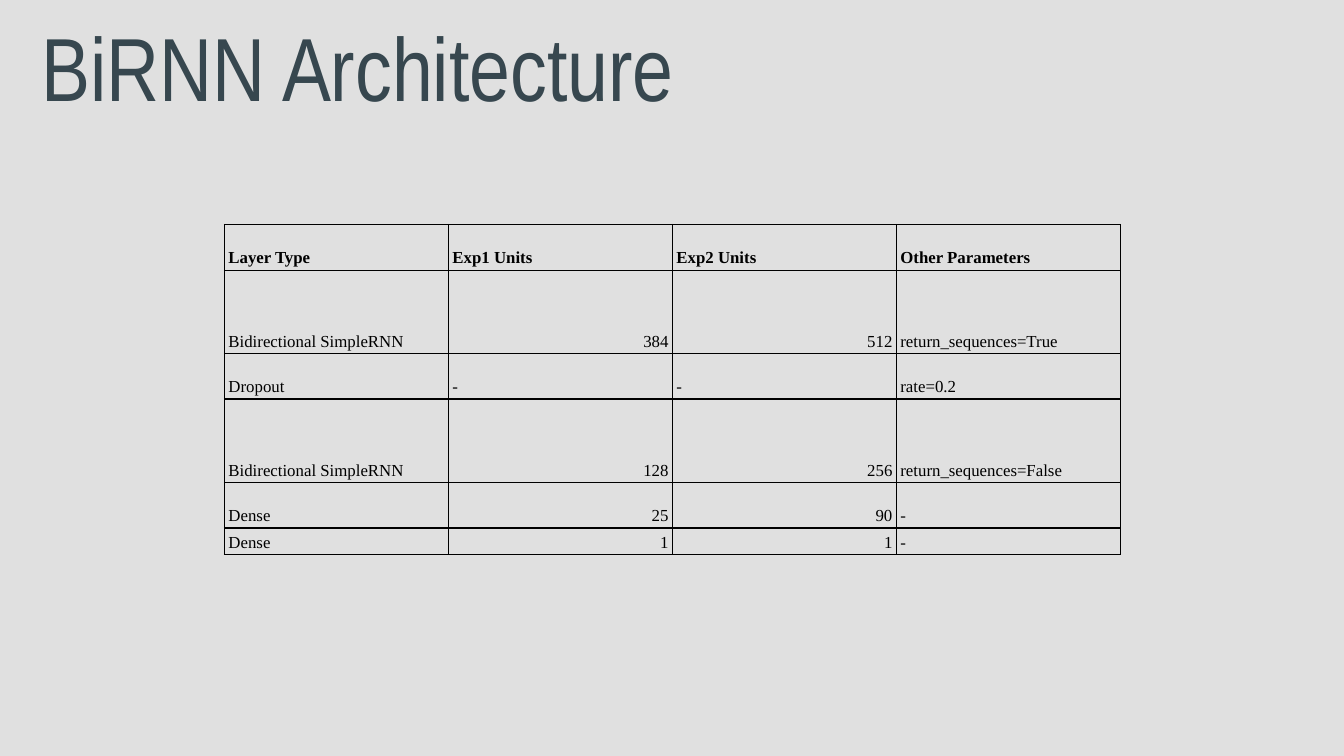
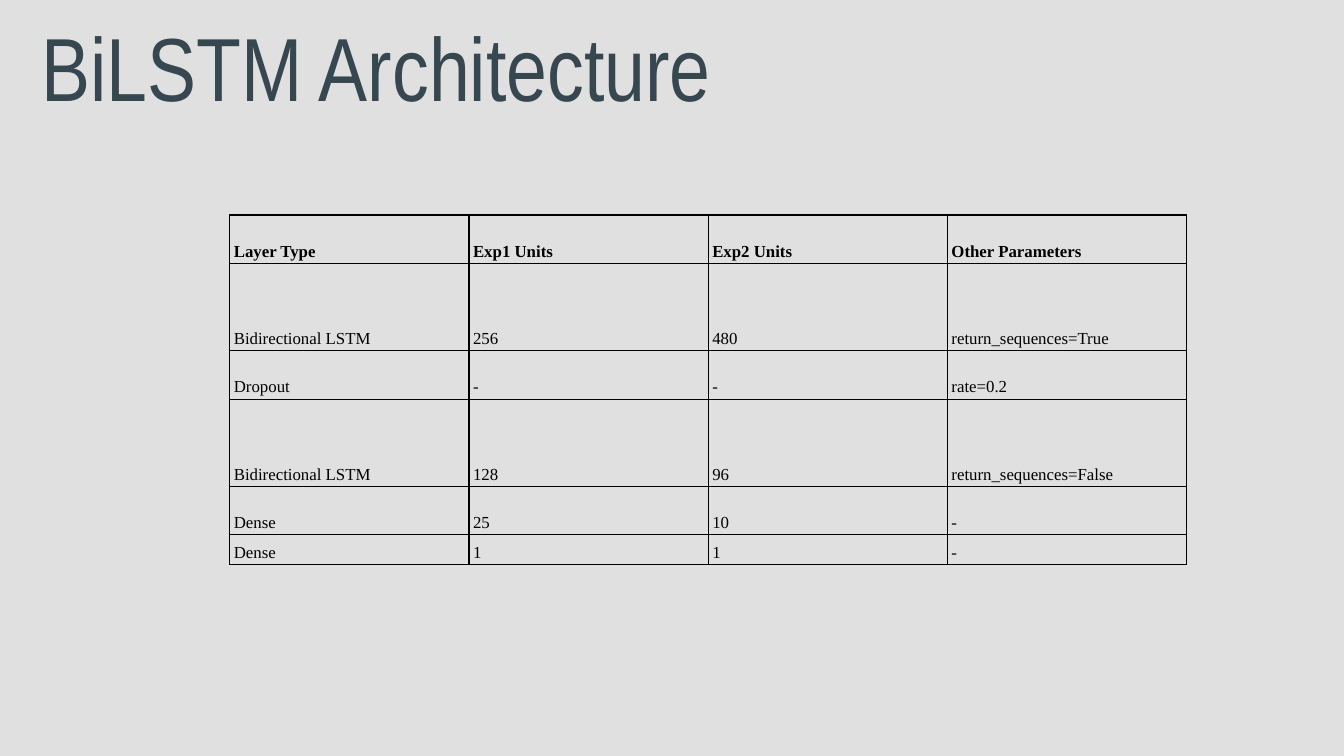
from dataclasses import dataclass

from lxml import etree
from pptx import Presentation
from pptx.dml.color import RGBColor
from pptx.enum.text import MSO_ANCHOR, MSO_AUTO_SIZE, PP_ALIGN
from pptx.oxml.ns import qn
from pptx.util import Inches, Pt

LEFT, RIGHT = PP_ALIGN.LEFT, PP_ALIGN.RIGHT
MIDDLE, BOTTOM = MSO_ANCHOR.MIDDLE, MSO_ANCHOR.BOTTOM
NO_FIT = MSO_AUTO_SIZE.NONE
TITLE_ONLY = 5


@dataclass(frozen=True)
class Theme:
    background: str = "E0E0E0"
    title_color: str = "37474F"
    ink: str = "000000"
    title_font: str = "Arial Narrow"
    table_font: str = "Times New Roman"
    title_size: int = 48
    table_size: int = 9
    border: float = 0.75
    line_spacing: float = 1.15


THEME = Theme()
SLIDE_WIDTH = 10
SLIDE_HEIGHT = SLIDE_WIDTH * 9 / 16
TITLE_BOX = (0.21, 0.08, 10.13, 0.82)
TITLE_INSET = 0.1
CELL_INSETS = (0.03, 0.02)

HEADER = ("Layer Type", "Exp1 Units", "Exp2 Units", "Other Parameters")
ARCHITECTURES = [
    {
        "title": "BiRNN Architecture",
        "origin": (1.67, 1.67),
        "column": SLIDE_WIDTH / 6,
        "rows": (0.34, 0.62, 0.34, 0.62, 0.34, 0.11),
        "number_align": RIGHT,
        "layers": [
            ("Bidirectional SimpleRNN", "384", "512", "return_sequences=True"),
            ("Dropout", "-", "-", "rate=0.2"),
            ("Bidirectional SimpleRNN", "128", "256", "return_sequences=False"),
            ("Dense", "25", "90", "-"),
            ("Dense", "1", "1", "-"),
        ],
    },
    {
        "title": "BiLSTM Architecture",
        "origin": (1.71, 1.6),
        "column": 1.78,
        "rows": (0.36, 0.65, 0.36, 0.65, 0.36, 0.22),
        "number_align": LEFT,
        "layers": [
            ("Bidirectional LSTM", "256", "480", "return_sequences=True"),
            ("Dropout", "-", "-", "rate=0.2"),
            ("Bidirectional LSTM", "128", "96", "return_sequences=False"),
            ("Dense", "25", "10", "-"),
            ("Dense", "1", "1", "-"),
        ],
    },
]


def set_font(para, name, size, color, bold=False):
    for span in para.runs:
        span.font.name = name
        span.font.size = Pt(size)
        span.font.bold = bold
        span.font.color.rgb = RGBColor.from_string(color)


def set_insets(target, horizontal, vertical):
    target.margin_left = target.margin_right = Inches(horizontal)
    target.margin_top = target.margin_bottom = Inches(vertical)


def add_title(page, text):
    box = page.shapes.title
    box.left, box.top, box.width, box.height = map(Inches, TITLE_BOX)
    frame = box.text_frame
    frame.text = text
    frame.word_wrap = True
    frame.auto_size = NO_FIT
    frame.vertical_anchor = MIDDLE
    set_insets(frame, TITLE_INSET, TITLE_INSET)
    para = frame.paragraphs[0]
    para.alignment = LEFT
    set_font(para, THEME.title_font, THEME.title_size, THEME.title_color)


def add_borders(cell):
    properties = cell._tc.get_or_add_tcPr()
    for side in ("a:lnL", "a:lnR", "a:lnT", "a:lnB"):
        line = etree.SubElement(properties, qn(side), w=str(Pt(THEME.border)))
        fill = etree.SubElement(line, qn("a:solidFill"))
        etree.SubElement(fill, qn("a:srgbClr"), val=THEME.ink)


def format_cell(cell, text, align, bold):
    cell.text = text
    cell.vertical_anchor = BOTTOM
    set_insets(cell, *CELL_INSETS)
    add_borders(cell)
    cell.fill.background()
    para = cell.text_frame.paragraphs[0]
    para.alignment = align
    para.line_spacing = THEME.line_spacing
    set_font(para, THEME.table_font, THEME.table_size, THEME.ink, bold)


def add_layer_table(page, architecture):
    content = [HEADER, *architecture["layers"]]
    heights = architecture["rows"]
    size = (architecture["column"] * len(HEADER), sum(heights))
    table = page.shapes.add_table(
        len(content), len(HEADER), *map(Inches, (*architecture["origin"], *size))
    ).table
    table.first_row = table.horz_banding = False
    for column in table.columns:
        column.width = Inches(architecture["column"])
    for row_index, (values, height) in enumerate(zip(content, heights)):
        table.rows[row_index].height = Inches(height)
        for column_index, text in enumerate(values):
            align = architecture["number_align"] if text.isdigit() else LEFT
            format_cell(table.cell(row_index, column_index), text, align, row_index == 0)


def main():
    deck = Presentation()
    deck.slide_width, deck.slide_height = Inches(SLIDE_WIDTH), Inches(SLIDE_HEIGHT)
    backdrop = deck.slide_master.background.fill
    backdrop.solid()
    backdrop.fore_color.rgb = RGBColor.from_string(THEME.background)
    for architecture in ARCHITECTURES:
        page = deck.slides.add_slide(deck.slide_layouts[TITLE_ONLY])
        add_title(page, architecture["title"])
        add_layer_table(page, architecture)
    deck.save("out.pptx")


if __name__ == "__main__":
    main()
